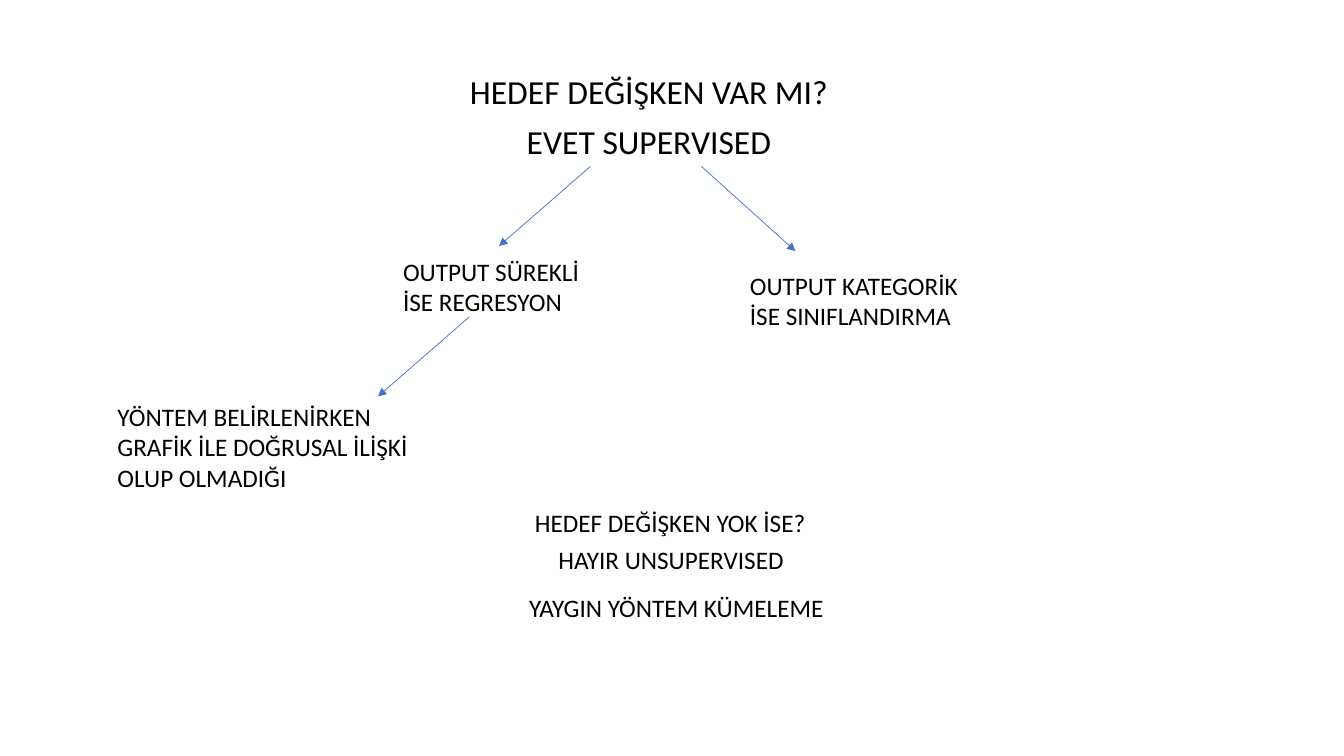
from collections import namedtuple

from lxml.etree import SubElement
from pptx import Presentation
from pptx.dml.color import RGBColor
from pptx.enum.shapes import MSO_CONNECTOR
from pptx.enum.text import MSO_ANCHOR, MSO_AUTO_SIZE, PP_ALIGN
from pptx.oxml.ns import qn
from pptx.util import Inches, Pt

# The slide is a grid of 16 columns by 9 rows
SLIDE_WIDTH, SLIDE_HEIGHT = Inches(13.333), Inches(7.5)
COLUMN, ROW = SLIDE_WIDTH / 16, SLIDE_HEIGHT / 9
FONT, TEXT, ARROW = "Calibri", "000000", "4472C4"

Box = namedtuple("Box", "left top width height")


def color(hex_string):
    return RGBColor.from_string(hex_string)


def inside(region, left, top, width, height):
    """Box in grid units, moved from its region to the slide."""
    return Box(region.left + left, region.top + top, width, height)


def place(box):
    return (round(box.left * COLUMN), round(box.top * ROW),
            round(box.width * COLUMN), round(box.height * ROW))


def format_text(text_frame, size):
    for paragraph in text_frame.paragraphs:
        for run in paragraph.runs:
            run.font.name = FONT
            run.font.size = Pt(size)
            run.font.color.rgb = color(TEXT)


def add_label(slide, box, text):
    text_frame = slide.shapes.add_textbox(*place(box)).text_frame
    text_frame.word_wrap = False
    text_frame.auto_size = MSO_AUTO_SIZE.SHAPE_TO_FIT_TEXT
    text_frame.text = text
    format_text(text_frame, 18)


def add_arrow(slide, region, start, end):
    start_x, start_y = place(inside(region, *start, 0, 0))[:2]
    end_x, end_y = place(inside(region, *end, 0, 0))[:2]
    connector = slide.shapes.add_connector(
        MSO_CONNECTOR.STRAIGHT, start_x, start_y, end_x, end_y)
    connector.line.color.rgb = color(ARROW)
    connector.line.width = Pt(0.5)
    properties = connector._element.spPr
    SubElement(properties.find(qn("a:ln")), qn("a:tailEnd"), type="triangle")
    SubElement(properties, qn("a:effectLst"))


def fill_heading(slide, box):
    heading = slide.placeholders[1]
    heading.left, heading.top, heading.width, heading.height = place(box)
    text_frame = heading.text_frame
    text_frame.text = "HEDEF DEĞİŞKEN VAR MI?\nEVET SUPERVISED"
    text_frame.vertical_anchor = MSO_ANCHOR.TOP
    for paragraph in text_frame.paragraphs:
        paragraph.alignment = PP_ALIGN.CENTER
        paragraph.line_spacing = 0.9
        paragraph.space_before = Pt(10)
    format_text(text_frame, 24)


def add_supervised(slide, region):
    # Question with its answer
    fill_heading(slide, inside(region, 0.72, 0, 11.45, 3.4))

    # Branches of the tree
    branches = [
        ((3.4, 2.15, 2.35, 0.85), "OUTPUT SÜREKLİ\nİSE REGRESYON"),
        ((7.53, 2.32, 2.74, 0.85), "OUTPUT KATEGORİK\nİSE SINIFLANDIRMA"),
        ((0, 3.88, 3.73, 1.21),
         "YÖNTEM BELİRLENİRKEN\nGRAFİK İLE DOĞRUSAL İLİŞKİ\nOLUP OLMADIĞI"),
    ]
    for box, text in branches:
        add_label(slide, inside(region, *box), text)

    # Arrows from each level to the next
    arrows = [
        ((5.75, 1.14), (4.66, 2.09)),
        ((7.07, 1.14), (8.19, 2.15)),
        ((4.31, 2.93), (3.22, 3.88)),
    ]
    for start, end in arrows:
        add_arrow(slide, region, start, end)


def add_unsupervised(slide, region):
    lines = [
        (0.07, 0, 3.49, "HEDEF DEĞİŞKEN YOK İSE?"),
        (0.35, 0.44, 2.95, "HAYIR UNSUPERVISED"),
        (0, 1.01, 3.78, "YAYGIN YÖNTEM KÜMELEME"),
    ]
    for left, top, width, text in lines:
        add_label(slide, inside(region, left, top, width, 0.48), text)


def main():
    presentation = Presentation()
    presentation.slide_width = SLIDE_WIDTH
    presentation.slide_height = SLIDE_HEIGHT
    slide = presentation.slides.add_slide(presentation.slide_layouts[0])

    # The heading is a subtitle, so the empty title goes
    title = slide.shapes.title._element
    title.getparent().remove(title)

    add_supervised(slide, Box(1.28, 0.84, 12.17, 5.09))
    add_unsupervised(slide, Box(6.18, 5.98, 3.78, 1.49))
    presentation.save("out.pptx")


if __name__ == "__main__":
    main()
